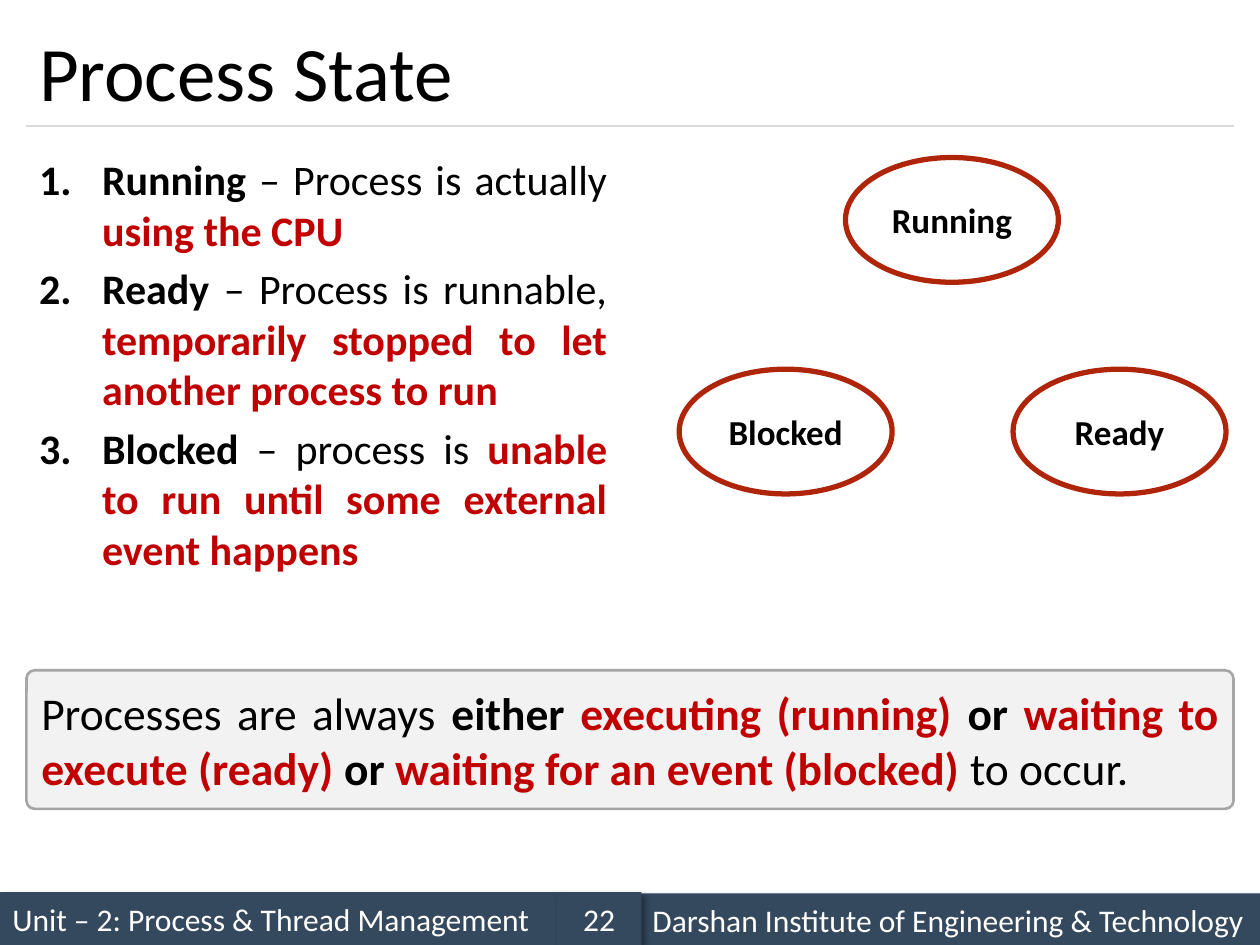
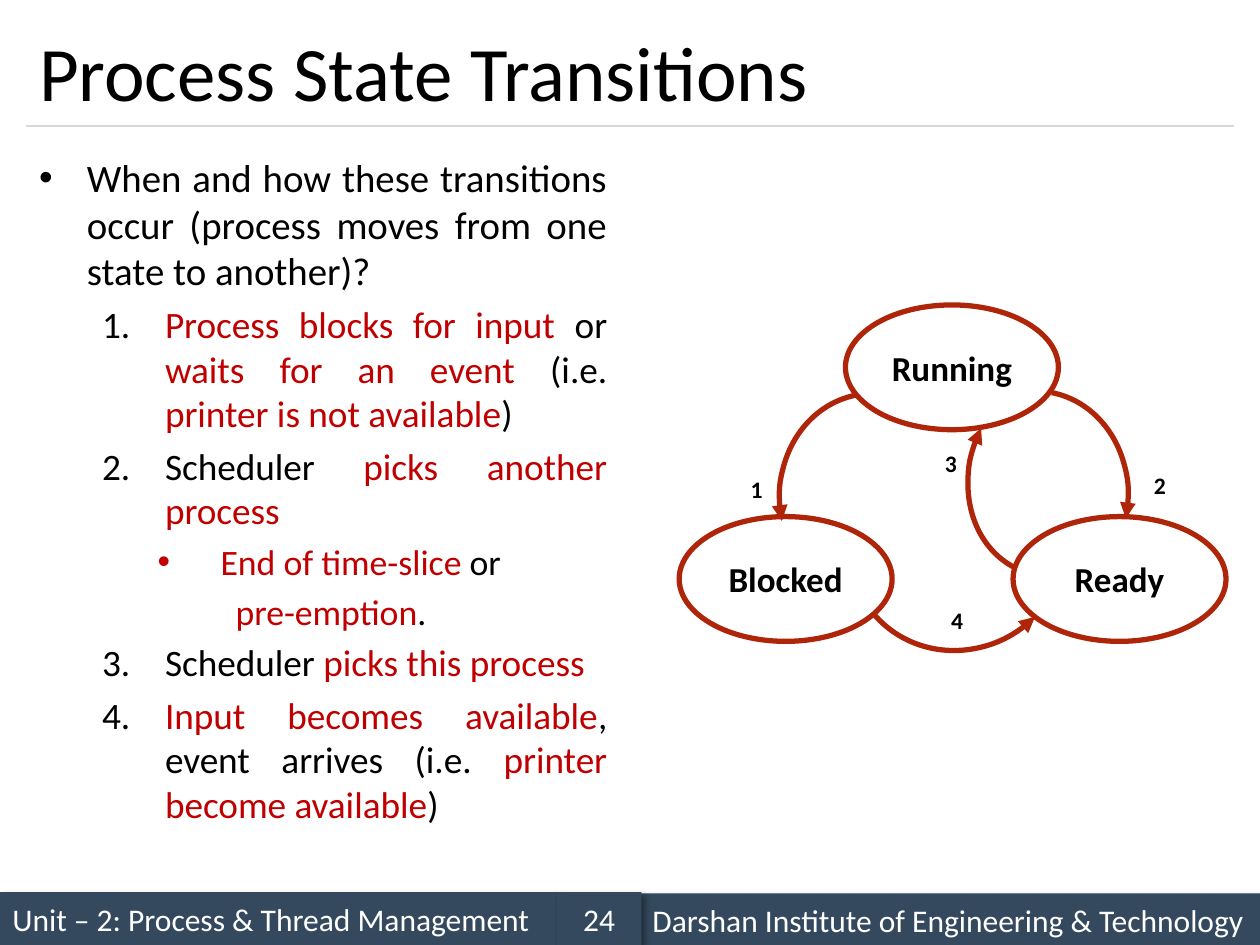
import lxml.etree
import pptx
import pptx.dml.color
import pptx.enum.shapes
import pptx.enum.text
import pptx.oxml
import pptx.oxml.ns
import pptx.util

RGB = pptx.dml.color.RGBColor
BLACK = RGB(0, 0, 0)
WHITE = RGB(255, 255, 255)
RED = RGB(0xC0, 0, 0)
RUST = RGB(0xAE, 0x25, 0x0A)
NAVY = RGB(0x34, 0x49, 0x5E)
RULE = RGB(0xD9, 0xD9, 0xD9)
PALE = RGB(0xF2, 0xF2, 0xF2)
GRAY = RGB(0xA6, 0xA6, 0xA6)

FONT = "Calibri"
PX = 9144  # 100 px to the inch
SHAPE = pptx.enum.shapes.MSO_SHAPE
ALIGN = pptx.enum.text.PP_ALIGN
MIDDLE = pptx.enum.text.MSO_ANCHOR.MIDDLE
Pt = pptx.util.Pt
qn = pptx.oxml.ns.qn
NS = pptx.oxml.ns.nsdecls("a")
SHADOW = (f'<a:effectLst {NS}><a:outerShdw blurRad="50800" dist="38100" '
          'dir="2700000" algn="tl" rotWithShape="0"><a:srgbClr val="000000">'
          '<a:alpha val="40000"/></a:srgbClr></a:outerShdw></a:effectLst>')


def say(para, size, runs, align=ALIGN.LEFT):
    """Add (text, colour, bold) runs to a paragraph."""
    para.alignment = align
    for text, ink, bold in runs:
        run = para.add_run()
        run.text = text
        run.font.name = FONT
        run.font.size = Pt(size)
        run.font.bold = bold
        run.font.color.rgb = ink


def mark(para, left, hang, sign, ink):
    """Set the indent and the bullet: a number, a dot or none."""
    props = para._p.get_or_add_pPr()
    props.set("marL", str(left * PX))
    props.set("indent", str(-hang * PX))
    if sign:
        tint = lxml.etree.SubElement(props, qn("a:buClr"))
        lxml.etree.SubElement(tint, qn("a:srgbClr"), val=str(ink))
    if sign == "1.":
        lxml.etree.SubElement(props, qn("a:buFont"), typeface="+mj-lt")
        lxml.etree.SubElement(props, qn("a:buAutoNum"), type="arabicPeriod")
    elif sign:
        lxml.etree.SubElement(props, qn("a:buFont"), typeface="Arial")
        lxml.etree.SubElement(props, qn("a:buChar"), char=sign)
    else:
        lxml.etree.SubElement(props, qn("a:buNone"))


# List styles: level, left, hang, bullet, bullet colour, size
STATE = (0, 50, 50, "1.", BLACK, 24)
ASK = (0, 38, 38, "•", BLACK, 22.2)
STEP = (1, 100, 50, "1.", BLACK, 21.3)
CAUSE = (2, 144, 50, "•", RED, 20.4)
MORE = (2, 156, 0, "", RED, 20.4)

# Pages: number, title, body height, top of the states, list
PAGES = [
    ("22", "Process State", 358, 125, [
        (STATE, [("Running", BLACK, True),
                 (" – Process is actually ", BLACK, False),
                 ("using the CPU", RED, True)]),
        (STATE, [("Ready", BLACK, True),
                 (" – Process is runnable, ", BLACK, False),
                 ("temporarily stopped to let another process to run",
                  RED, True)]),
        (STATE, [("Blocked", BLACK, True),
                 (" – process is ", BLACK, False),
                 ("unable to run until some external event happens",
                  RED, True)]),
    ]),
    ("24", "Process State Transitions", 553, 242, [
        (ASK, [("When and how these transitions occur (process moves from "
                "one state to another)?", BLACK, False)]),
        (STEP, [("Process blocks for input ", RED, False),
                ("or ", BLACK, False),
                ("waits for an event ", RED, False),
                ("(i.e. ", BLACK, False),
                ("printer is not available", RED, False),
                (")", BLACK, False)]),
        (STEP, [("Scheduler ", BLACK, False),
                ("picks another process", RED, False)]),
        (CAUSE, [("End of time-slice", RED, False),
                 (" or", BLACK, False)]),
        (MORE, [("pre-emption", RED, False), (".", BLACK, False)]),
        (STEP, [("Scheduler ", BLACK, False),
                ("picks this process", RED, False)]),
        (STEP, [("Input becomes available", RED, False),
                (", event arrives (i.e. ", BLACK, False),
                ("printer become available", RED, False),
                (")", BLACK, False)]),
    ]),
]
STATES = [("Running", 671, 0), ("Blocked", 539, 168), ("Ready", 804, 168)]

deck = pptx.Presentation()
deck.slide_width = 1000 * PX
deck.slide_height = 750 * PX
slides = []

for number, title, height, top, items in PAGES:
    slide = deck.slides.add_slide(deck.slide_layouts[1])
    slides.append(slide)

    # Footer bands
    for left, y, width, text, align in [
            (0, 708, 442, "Unit – 2: Process & Thread Management", ALIGN.LEFT),
            (508, 709, 492, "Darshan Institute of Engineering & Technology",
             ALIGN.LEFT),
            (442, 708, 67, number, ALIGN.CENTER)]:
        band = slide.shapes.add_shape(
            SHAPE.RECTANGLE, left * PX, y * PX, width * PX, 42 * PX)
        band.fill.solid()
        band.fill.fore_color.rgb = NAVY
        band.line.fill.background()
        band.element.spPr.append(pptx.oxml.parse_xml(SHADOW))
        say(band.text_frame.paragraphs[0], 18, [(text, WHITE, False)], align)

    # Title and the rule below it
    head = slide.shapes.title
    head.left, head.top, head.width, head.height = (
        n * PX for n in (21, 12, 958, 88))
    head.text_frame.auto_size = pptx.enum.text.MSO_AUTO_SIZE.NONE
    head.text_frame.vertical_anchor = MIDDLE
    say(head.text_frame.paragraphs[0], 44, [(title, BLACK, False)])
    rule = slide.shapes.add_connector(
        pptx.enum.shapes.MSO_CONNECTOR.STRAIGHT,
        21 * PX, 100 * PX, 979 * PX, 100 * PX)
    rule.line.color.rgb = RULE
    rule.line.width = Pt(0.75)
    lxml.etree.SubElement(rule._element.spPr, qn("a:effectLst"))

    # List
    body = slide.placeholders[1]
    body.left, body.top, body.width, body.height = (
        n * PX for n in (21, 117, 471, height))
    frame = body.text_frame
    frame.auto_size = pptx.enum.text.MSO_AUTO_SIZE.NONE
    for i, (style, runs) in enumerate(items):
        level, left, hang, sign, ink, size = style
        para = frame.add_paragraph() if i else frame.paragraphs[0]
        para.level = level
        para.space_before = Pt(round(size * 0.2, 1) if i else 0)
        mark(para, left, hang, sign, ink)
        say(para, size, runs, ALIGN.JUSTIFY)

    # States
    for name, left, drop in STATES:
        oval = slide.shapes.add_shape(
            SHAPE.OVAL, left * PX, (top + drop) * PX, 169 * PX, 99 * PX)
        oval.shadow.inherit = False
        oval.fill.background()
        oval.line.color.rgb = RUST
        oval.line.width = Pt(3)
        say(oval.text_frame.paragraphs[0], 20, [(name, BLACK, True)],
            ALIGN.CENTER)

# Summary box on the first slide
note = slides[0].shapes.add_shape(
    SHAPE.ROUNDED_RECTANGLE, 21 * PX, 532 * PX, 958 * PX, 110 * PX)
note.adjustments[0] = 0.06
note.shadow.inherit = False
note.fill.solid()
note.fill.fore_color.rgb = PALE
note.line.color.rgb = GRAY
note.line.width = Pt(1.5)
say(note.text_frame.paragraphs[0], 26, [
    ("Processes are always ", BLACK, False),
    ("either", BLACK, True),
    (" executing (running) ", RED, True),
    ("or", BLACK, True),
    (" waiting to execute (ready) ", RED, True),
    ("or", BLACK, True),
    (" waiting for an event (blocked)", RED, True),
    (" to occur.", BLACK, False)], ALIGN.JUSTIFY)

# Curved arrows on the second slide: box, turn, flip, end angle
for left, top, width, height, turn, flip, end in [
        (741, 310, 154, 173, 11.2, False, 0),
        (771, 285, 148, 175, 206.2, False, 0),
        (619, 312, 154, 173, 348.8, True, 0),
        (677, 341, 169, 178, 230.7, True, 3.49)]:
    arc = slides[1].shapes.add_shape(
        SHAPE.ARC, left * PX, top * PX, width * PX, height * PX)
    arc.adjustments[0] = 162
    arc.adjustments[1] = end
    arc.rotation = turn
    if flip:
        arc.element.spPr.xfrm.set("flipH", "1")
    arc.shadow.inherit = False
    arc.fill.background()
    arc.line.color.rgb = RUST
    arc.line.width = Pt(3)
    lxml.etree.SubElement(
        arc.line._get_or_add_ln(), qn("a:tailEnd"), type="triangle")

# Arrow numbers
for i, (left, top) in enumerate(
        [(586, 372), (906, 369), (740, 351), (745, 476)], 1):
    tag = slides[1].shapes.add_textbox(
        left * PX, top * PX, 23 * PX, 33 * PX)
    tag.text_frame.word_wrap = True
    say(tag.text_frame.paragraphs[0], 13.5, [(str(i), BLACK, True)])

deck.save("out.pptx")
